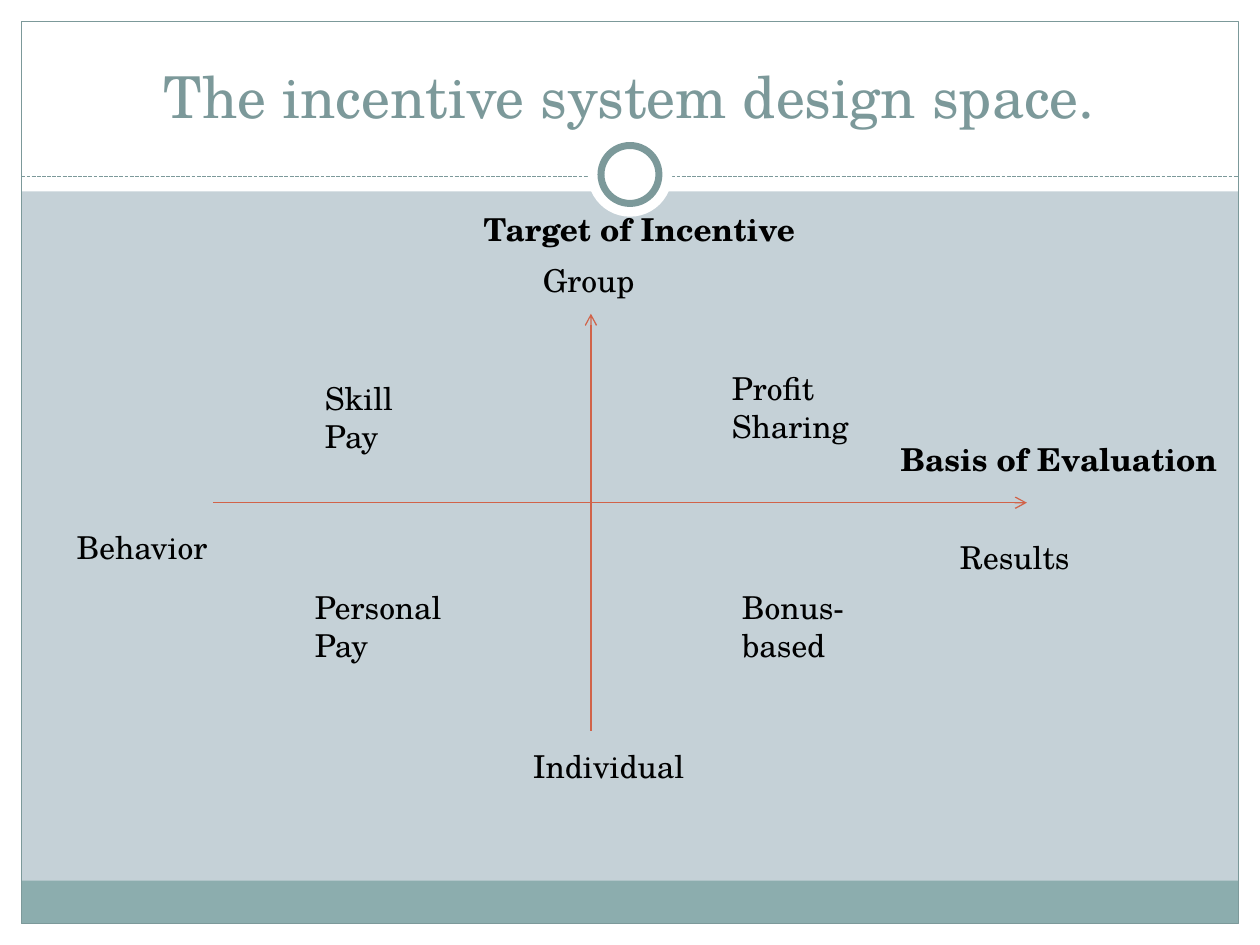
from dataclasses import dataclass

from lxml import etree
from pptx import Presentation
from pptx import util as u
from pptx.dml.color import RGBColor
from pptx.enum import dml, shapes, text
from pptx.oxml import ns

COLUMNS, ROWS = 100, 75
CELL = u.Inches(0.1)
MARGIN = 1.7
DIVIDER_ROW = 14
CENTRE = COLUMNS / 2


@dataclass(frozen=True)
class Theme:
    font: str = "TeX Gyre Schola"
    ground: str = "C5D1D7"
    paper: str = "FFFFFF"
    band: str = "8CADAE"
    trim: str = "7C999A"
    axis: str = "D16349"
    ink: str = "000000"
    title_size: int = 33
    label_size: int = 18
    thin: float = 0.75
    ring: float = 4


THEME = Theme()


def cells(*counts):
    return [u.Emu(round(count * CELL)) for count in counts]


def colour(value):
    return RGBColor.from_string(value)


def apply_format(target, values):
    for name, value in values.items():
        setattr(target, name, value)


def style_line(line, shade, width):
    line.color.rgb = colour(shade)
    line.width = u.Pt(width)


def add_panel(page, area, fill=None, line=None, width=THEME.thin,
              kind=shapes.MSO_SHAPE.RECTANGLE):
    panel = page.shapes.add_shape(kind, *cells(*area))
    panel.shadow.inherit = False
    if fill:
        panel.fill.solid()
        panel.fill.fore_color.rgb = colour(fill)
    else:
        panel.fill.background()
    if line:
        style_line(panel.line, line, width)
    else:
        panel.line.fill.background()


def add_disc(page, size, **style):
    area = (CENTRE - size / 2, 13.85 - size / 2, size, size)
    add_panel(page, area, fill=THEME.paper, kind=shapes.MSO_SHAPE.OVAL, **style)


def add_rule(page, start, end, shade):
    rule = page.shapes.add_connector(
        shapes.MSO_CONNECTOR.STRAIGHT, *cells(*start, *end))
    style_line(rule.line, shade, THEME.thin)
    etree.SubElement(rule._element.spPr, ns.qn("a:effectLst"))
    return rule


def add_axis(page, start, end):
    axis = add_rule(page, start, end, THEME.axis)
    etree.SubElement(axis.line._get_or_add_ln(), ns.qn("a:tailEnd"), type="arrow")


def add_text(page, wording, area, frame, align, font, shade):
    box = page.shapes.add_textbox(*cells(*area))
    apply_format(box.text_frame, {"word_wrap": True, **frame})
    para = box.text_frame.paragraphs[0]
    para.alignment = align
    span = para.add_run()
    span.text = wording
    apply_format(span.font, {"name": THEME.font, **font})
    span.font.color.rgb = colour(shade)


def add_label(page, wording, left, top, width, bold=False):
    add_text(page, wording, (left, top, width, 4),
             {"auto_size": text.MSO_AUTO_SIZE.SHAPE_TO_FIT_TEXT},
             text.PP_ALIGN.LEFT,
             {"size": u.Pt(THEME.label_size), "bold": bold}, THEME.ink)


def add_title(page, wording):
    add_text(page, wording, (3.3, 2.5, COLUMNS - 6.7, 8.3),
             {"vertical_anchor": text.MSO_ANCHOR.BOTTOM},
             text.PP_ALIGN.CENTER, {"size": u.Pt(THEME.title_size)}, THEME.trim)


def add_backdrop(page):
    page.background.fill.solid()
    page.background.fill.fore_color.rgb = colour(THEME.ground)
    right, bottom = COLUMNS - MARGIN, ROWS - MARGIN
    inner_width = right - MARGIN
    for area in (
        (0, bottom, COLUMNS, MARGIN),
        (0, 0, COLUMNS, 15.2),
        (0, 0, MARGIN, ROWS),
        (right, 0, MARGIN, ROWS),
    ):
        add_panel(page, area, fill=THEME.paper)
    add_panel(page, (MARGIN, 69.9, inner_width, 3.4), fill=THEME.band)
    add_panel(page, (MARGIN, MARGIN, inner_width, bottom - MARGIN), line=THEME.trim)
    divider = add_rule(page, (MARGIN, DIVIDER_ROW), (right, DIVIDER_ROW), THEME.trim)
    divider.line.dash_style = dml.MSO_LINE.SQUARE_DOT
    add_disc(page, 6.7)
    add_disc(page, 4.6, line=THEME.trim, width=THEME.ring)


def add_design_space(page):
    add_axis(page, (16.9, 39.9), (81.5, 39.9))
    add_axis(page, (46.9, 58), (46.9, 24.9))
    for wording, left, top, width in (
        ("Target of Incentive", 37.4, 16.2, 29.1),
        ("Basis of Evaluation", 70.5, 34.4, 29.5),
    ):
        add_label(page, wording, left, top, width, bold=True)
    for wording, left, top, width in (
        ("Results", 75.2, 42.2, 22),
        ("Behavior", 5.1, 41.4, 22),
        ("Group", 42.1, 20.2, 11.8),
        ("Individual", 41.3, 58.8, 14.2),
        ("Skill Pay", 24.8, 29.6, 11.8),
        ("Profit Sharing", 57.1, 28.8, 16.5),
        ("Personal Pay", 24, 46.2, 15.7),
        ("Bonus-based", 57.9, 46.2, 15.7),
    ):
        add_label(page, wording, left, top, width)


def main():
    deck = Presentation()
    deck.slide_width, deck.slide_height = cells(COLUMNS, ROWS)
    page = deck.slides.add_slide(deck.slide_layouts[6])
    add_backdrop(page)
    add_title(page, "The incentive system design space.")
    add_design_space(page)
    deck.save("out.pptx")


if __name__ == "__main__":
    main()
